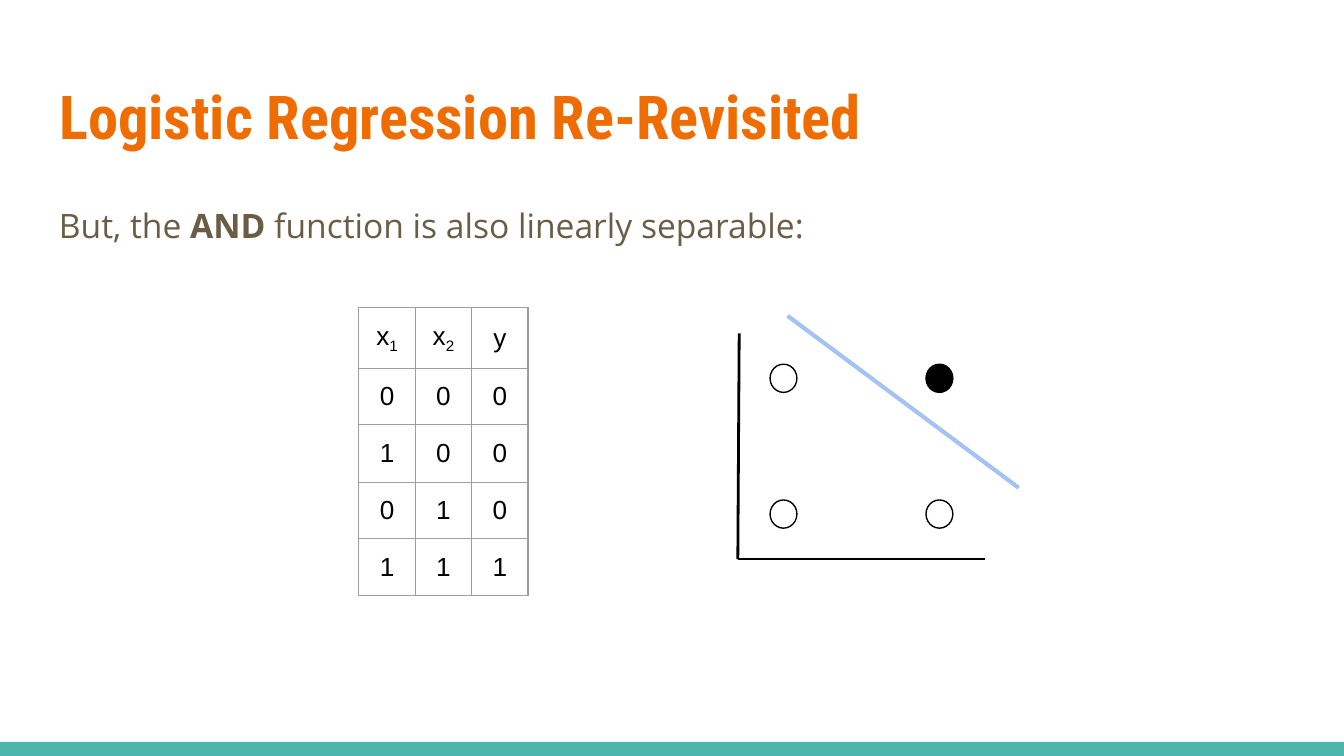
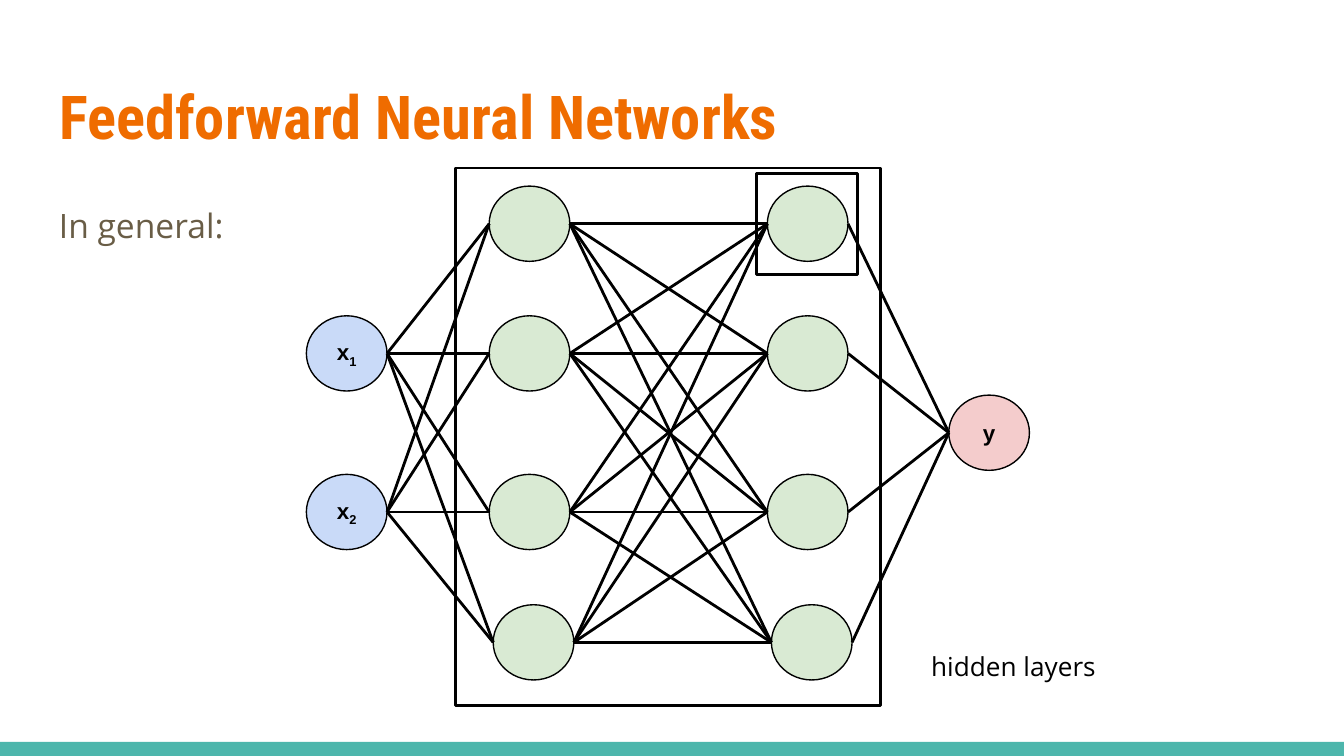
from collections import namedtuple
from itertools import pairwise, product

from lxml.etree import SubElement
from pptx import Presentation
from pptx.dml.color import RGBColor
from pptx.enum.shapes import MSO_CONNECTOR, MSO_SHAPE
from pptx.enum.text import MSO_ANCHOR, MSO_AUTO_SIZE, PP_ALIGN
from pptx.oxml.ns import qn
from pptx.util import Inches, Pt

ORANGE = RGBColor(0xEF, 0x6C, 0x00)
TEAL = RGBColor(0x4D, 0xB6, 0xAC)
BROWN = RGBColor(0x69, 0x5D, 0x46)
BLACK = RGBColor(0, 0, 0)
WHITE = RGBColor(0xFF, 0xFF, 0xFF)
GREY = RGBColor(0x9E, 0x9E, 0x9E)
BOUNDARY_BLUE = RGBColor(0xA4, 0xC2, 0xF4)
INPUT_BLUE = RGBColor(0xC9, 0xDA, 0xF8)
HIDDEN_GREEN = RGBColor(0xD9, 0xEA, 0xD3)
OUTPUT_PINK = RGBColor(0xF4, 0xCC, 0xCC)

TITLE_FONT, BODY_FONT, LABEL_FONT = "Roboto Condensed", "Open Sans", "Arial"
COLUMNS, ROWS = 100, 56.25
INSET = Inches(0.1)
X1, X2, Y = [("x", ""), ("1", "sub")], [("x", ""), ("2", "sub")], [("y", "")]

Node = namedtuple("Node", "left top colour label")


class Box(namedtuple("Box", "left top width height")):
    """A region measured in grid columns and rows of a tenth of an inch."""

    def inner(self, left, top, width, height):
        """Return a region offset from this one's top left corner."""
        return Box(self.left + left, self.top + top, width, height)

    def emu(self):
        """Return the region as slide lengths."""
        return [Inches(length / 10) for length in self]


def write(frame, runs, size, font, colour, bold=False, align=PP_ALIGN.LEFT, anchor=MSO_ANCHOR.TOP):
    """Fill a text frame with one paragraph of styled runs."""
    frame.word_wrap = True
    frame.auto_size = MSO_AUTO_SIZE.NONE
    frame.vertical_anchor = anchor
    frame.margin_left = frame.margin_right = INSET
    frame.margin_top = frame.margin_bottom = INSET
    return add_runs(frame, runs, size, font, colour, bold, align)


def add_runs(frame, runs, size, font, colour, bold, align):
    """Add styled runs to the first paragraph of a text frame."""
    paragraph = frame.paragraphs[0]
    paragraph.alignment = align
    for text, mark in runs:
        run = paragraph.add_run()
        run.text = text
        run.font.size = Pt(size)
        run.font.name = font
        run.font.color.rgb = colour
        run.font.bold = bold or mark == "bold"
        if mark == "sub":
            run.font._element.set("baseline", "-25000")
    return paragraph


def add_outline(slide, preset, box, fill=None, line=BLACK, weight=0.75):
    """Add a preset shape with a plain fill and outline."""
    outline = slide.shapes.add_shape(preset, *box.emu())
    outline.shadow.inherit = False
    if fill is None:
        outline.fill.background()
    else:
        outline.fill.solid()
        outline.fill.fore_color.rgb = fill
    if line is None:
        outline.line.fill.background()
    else:
        outline.line.color.rgb = line
        outline.line.width = Pt(weight)
    return outline


def add_line(slide, box, start, end, colour=BLACK, weight=1.5):
    """Draw a straight line between two points of a region."""
    points = [Inches((origin + offset) / 10)
              for point in (start, end) for origin, offset in zip(box[:2], point)]
    line = slide.shapes.add_connector(MSO_CONNECTOR.STRAIGHT, *points)
    line.line.color.rgb = colour
    line.line.width = Pt(weight)
    SubElement(line._element.spPr, qn("a:effectLst"))


def add_page(deck, heading, lead):
    """Add a slide with the bottom band, title and lead sentence."""
    slide = deck.slides.add_slide(deck.slide_layouts[5])
    page = Box(0, 0, COLUMNS, ROWS)
    add_outline(slide, MSO_SHAPE.RECTANGLE, page.inner(0, 55.2, COLUMNS, 1.05), TEAL, None)
    title = slide.shapes.title
    title.left, title.top, title.width, title.height = page.inner(3.4, 4.9, 93.2, 7.7).emu()
    write(title.text_frame, [(heading, "")], 32.4, TITLE_FONT, ORANGE, bold=True)
    sentence = slide.shapes.add_textbox(*page.inner(3.4, 13.8, 93.2, 7.1).emu())
    paragraph = write(sentence.text_frame, lead, 18, BODY_FONT, BROWN)
    paragraph.line_spacing = 1.15
    paragraph.space_after = Pt(12)
    return slide


def add_borders(cell):
    """Give a table cell thin grey borders."""
    properties = cell._tc.get_or_add_tcPr()
    for index, side in enumerate(("lnL", "lnR", "lnT", "lnB")):
        border = SubElement(properties, qn(f"a:{side}"), w=str(Pt(0.75)))
        fill = SubElement(border, qn("a:solidFill"))
        SubElement(fill, qn("a:srgbClr"), val=str(GREY))
        properties.insert(index, border)


def add_truth_table(slide, box):
    """Place the truth table of the AND function."""
    header = [X1, X2, Y]
    inputs = [(0, 0), (1, 0), (0, 1), (1, 1)]
    body = [[[(str(bit), "")] for bit in (a, b, a & b)] for a, b in inputs]
    rows = [header] + body
    table = slide.shapes.add_table(len(rows), len(header), *box.emu()).table
    table.first_row = table.horz_banding = False
    for column in table.columns:
        column.width = Inches(box.width / len(header) / 10)
    for row, height in zip(table.rows, (4.3, 4.2, 4.3, 4.2, 4.2)):
        row.height = Inches(height / 10)
    for (r, values), c in product(enumerate(rows), range(len(header))):
        cell = table.cell(r, c)
        cell.fill.background()
        add_runs(cell.text_frame, values[c], 14, LABEL_FONT, BLACK, False, PP_ALIGN.CENTER)
        cell.vertical_anchor = MSO_ANCHOR.MIDDLE
        cell.margin_left = cell.margin_right = INSET
        cell.margin_top = cell.margin_bottom = INSET
        add_borders(cell)


def add_separation_plot(slide, box):
    """Plot the four input points and the line that separates them."""
    corner = (0, box.height)
    add_line(slide, box, (0.1, 1.3), corner)
    add_line(slide, box, (18.4, box.height), corner)
    for a, b in product((0, 1), repeat=2):
        point = box.inner(2.4 + 11.6 * a, 13.7 - 10.1 * b, 2, 2.1)
        add_outline(slide, MSO_SHAPE.OVAL, point, BLACK if a & b else WHITE)
    add_line(slide, box, (3.7, 0), (box.width, 12.8), BOUNDARY_BLUE, 2.25)


def add_network(slide, box):
    """Draw the fully connected layers, their frames and the caption."""
    width, height = 6, 5.6
    tops = (1.35, 11, 22.8, 32.5)
    labels = (X1, X2)
    inputs = [Node(0, top, INPUT_BLUE, label) for top, label in zip(tops[1:3], labels)]
    hidden = [[Node(left + 0.3 * (top == tops[-1]), top, HIDDEN_GREEN, []) for top in tops]
              for left in (13.6, 34.3)]
    layers = [inputs, *hidden, [Node(47.8, 16.9, OUTPUT_PINK, Y)]]
    for node in sum(layers, []):
        circle = add_outline(slide, MSO_SHAPE.OVAL,
                             box.inner(node.left, node.top, width, height), node.colour)
        if node.label:
            write(circle.text_frame, node.label, 12, LABEL_FONT, BLACK, True,
                  PP_ALIGN.CENTER, MSO_ANCHOR.MIDDLE)
    for sources, targets in pairwise(layers):
        for source, target in product(sources, targets):
            add_line(slide, box, (source.left + width, source.top + height / 2),
                     (target.left, target.top + height / 2))
    for frame in (box.inner(11.1, 0, 31.6, 40), box.inner(33.5, 0.4, 7.5, 7.5)):
        add_outline(slide, MSO_SHAPE.RECTANGLE, frame, weight=1.5)
    caption = slide.shapes.add_textbox(*box.inner(45.5, 34.9, 18.2, 4.4).emu())
    write(caption.text_frame, [("hidden layers", "")], 14, BODY_FONT, BLACK)


def main():
    """Build and save the two slides."""
    deck = Presentation()
    deck.slide_width, deck.slide_height = Inches(COLUMNS / 10), Inches(ROWS / 10)
    regression = add_page(deck, "Logistic Regression Re-Revisited", [
        ("But, the ", ""), ("AND", "bold"), (" function is also linearly separable:", "")])
    add_truth_table(regression, Box(26.7, 22.9, 12.6, 21.2))
    add_separation_plot(regression, Box(54.9, 23.5, 20.9, 18.1))
    networks = add_page(deck, "Feedforward Neural Networks", [("In general:", "")])
    add_network(networks, Box(22.8, 12.5, 63.7, 40))
    deck.save("out.pptx")


if __name__ == "__main__":
    main()
